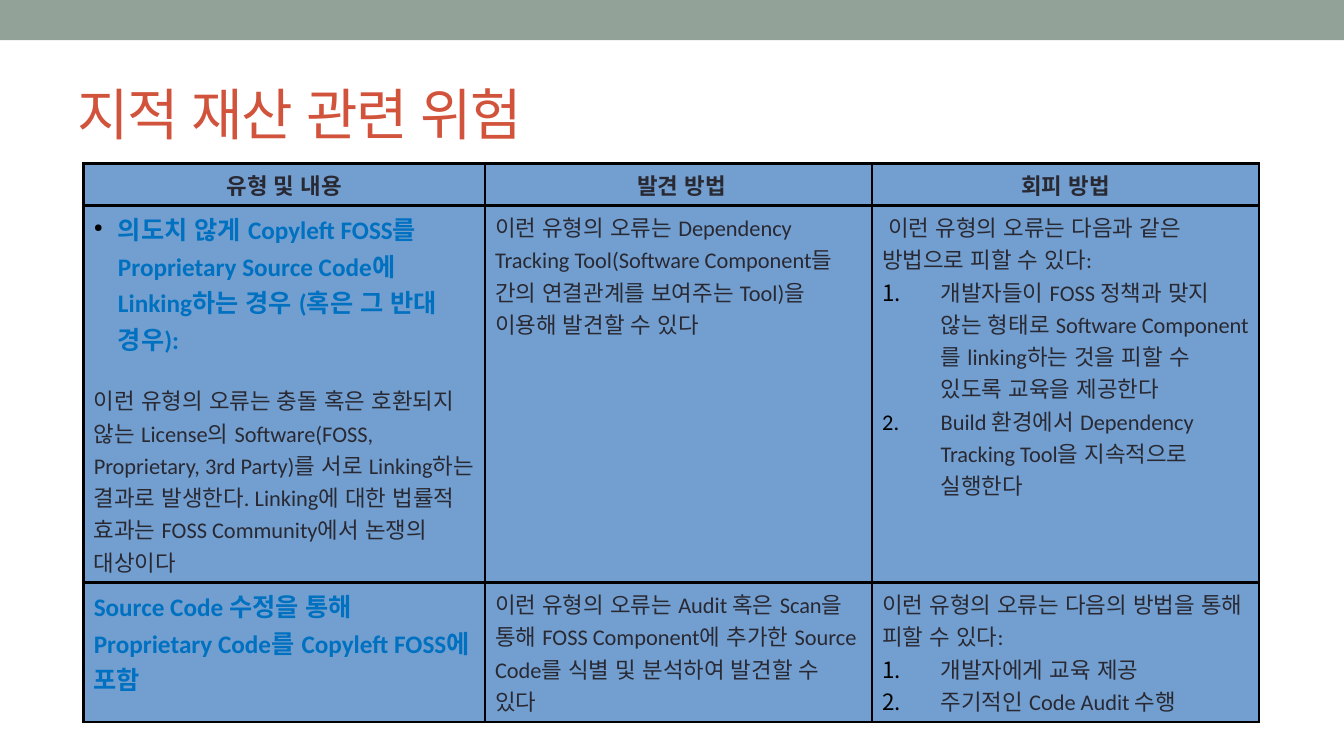
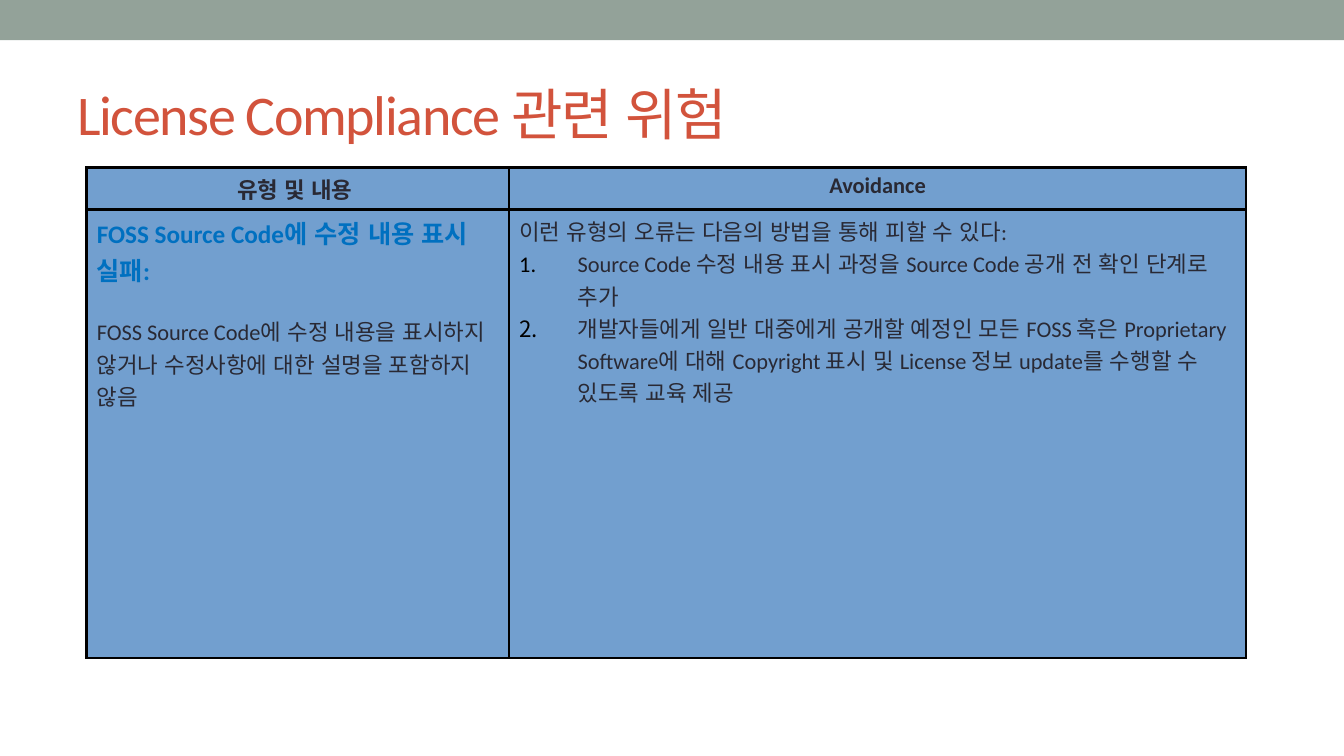
from lxml.etree import SubElement, fromstring
from pptx import Presentation
from pptx.dml.color import RGBColor
from pptx.enum.lang import MSO_LANGUAGE_ID as Lang
from pptx.enum.shapes import MSO_SHAPE as Shape
from pptx.enum.text import MSO_ANCHOR as Anchor, PP_ALIGN as Align
from pptx.oxml.ns import nsdecls, qn
from pptx.util import Inches, Pt

WIDTH, HEIGHT = Inches(13.33), Inches(7.5)
FONT, KOREAN_FONT = "Calibri", "Noto Sans CJK KR"
SAGE = RGBColor(0x93, 0xA2, 0x99)
RED = RGBColor(0xD2, 0x53, 0x3C)
INK = RGBColor(0x29, 0x29, 0x34)
BLUE = RGBColor(0x00, 0x70, 0xC0)
CELL = RGBColor(0x72, 0x9F, 0xCF)
BLACK = RGBColor(0, 0, 0)
BORDER = Pt(2)
GAP = Pt(19.5)

STYLES = {
    "head": (16, True, INK),
    "topic": (18, True, BLUE),
    "bullet": (18, True, BLUE),
    "body": (16, False, INK),
    "detail": (16, False, INK),
    "step": (16, False, INK),
}
MARKERS = {
    "bullet": (0.24, "buChar", {"char": "●"}, "45000"),
    "step": (0.58, "buAutoNum", {"type": "arabicPeriod"}, "100000"),
}

IP_RISKS = [
    [
        [("head", "유형 및 내용")],
        [("head", " 발견 방법")],
        [("head", "회피 방법")],
    ],
    [
        [
            ("bullet", "의도치 않게 Copyleft FOSS를 Proprietary Source Code에 "
                       "Linking하는 경우 (혹은 그 반대 경우):"),
            ("detail", "이런 유형의 오류는 충돌 혹은 호환되지 않는 License의 "
                       "Software(FOSS, Proprietary, 3rd Party)를 서로 Linking하는 "
                       "결과로 발생한다. Linking에 대한 법률적 효과는 "
                       "FOSS Community에서 논쟁의 대상이다"),
        ],
        [("body", "이런 유형의 오류는 Dependency Tracking Tool(Software Component들 "
                  "간의 연결관계를 보여주는 Tool)을 이용해 발견할 수 있다")],
        [
            ("body", " 이런 유형의 오류는 다음과 같은 방법으로 피할 수 있다:"),
            ("step", "개발자들이 FOSS 정책과 맞지 않는 형태로 Software Component를 "
                     "linking하는 것을 피할 수 있도록 교육을 제공한다"),
            ("step", "Build 환경에서 Dependency Tracking Tool을 지속적으로 실행한다"),
        ],
    ],
    [
        [("topic", "Source Code 수정을 통해 Proprietary Code를 "
                   "Copyleft FOSS에 포함")],
        [("body", "이런 유형의 오류는 Audit 혹은 Scan을 통해 FOSS Component에 추가한 "
                  "Source Code를 식별 및 분석하여 발견할 수 있다")],
        [
            ("body", "이런 유형의 오류는 다음의 방법을 통해 피할 수 있다:"),
            ("step", "개발자에게 교육 제공"),
            ("step", "주기적인 Code Audit 수행"),
        ],
    ],
]

LICENSE_RISKS = [
    [[("head", "유형 및 내용 ")], [("head", "Avoidance")]],
    [
        [
            ("topic", "FOSS Source Code에 수정 내용 표시 실패:"),
            ("detail", "FOSS Source Code에 수정 내용을 표시하지 않거나 "
                       "수정사항에 대한 설명을 포함하지 않음"),
        ],
        [
            ("body", "이런 유형의 오류는 다음의 방법을 통해 피할 수 있다:"),
            ("step", "Source Code 수정 내용 표시 과정을 Source Code 공개 전 "
                     "확인 단계로 추가"),
            ("step", "개발자들에게 일반 대중에게 공개할 예정인 모든 FOSS 혹은 "
                     "Proprietary Software에 대해 Copyright 표시 및 License 정보 "
                     "update를 수행할 수 있도록 교육 제공"),
        ],
    ],
]


def format_run(r, size, bold, color):
    """Apply the deck fonts to a run, for Latin and Korean text."""
    r.font.name, r.font.size, r.font.bold = FONT, Pt(size), bold
    r.font.color.rgb = color
    r.font.language_id = Lang.KOREAN
    r.font._element.find(qn("a:latin")).addnext(
        fromstring(f'<a:ea {nsdecls("a")} typeface="{KOREAN_FONT}"/>'))


def add_band(prs, s):
    """Draw the top band and move it to the slide master."""
    band = s.shapes.add_shape(Shape.RECTANGLE, 0, 0, WIDTH, Inches(0.4))
    band.shadow.inherit = False
    band.fill.solid()
    band.fill.fore_color.rgb = SAGE
    band.line.fill.background()
    prs.slide_master.element.cSld.spTree.insert(2, band.element)


def set_title(s, text):
    """Place and format the title placeholder."""
    sp = s.shapes.title
    sp.left, sp.top = int(WIDTH * 0.05), Inches(0.58)
    sp.width, sp.height = int(WIDTH * 0.9), Inches(1.08)
    tf = sp.text_frame
    tf.text = text
    tf.vertical_anchor = Anchor.MIDDLE
    p = tf.paragraphs[0]
    p.alignment = Align.LEFT
    format_run(p.runs[0], 40, False, RED)
    p.runs[0].font._element.set("spc", "-100")


def set_marker(p, indent, tag, attributes, size):
    """Give a paragraph a hanging black bullet or number."""
    pPr = p._p.get_or_add_pPr()
    pPr.set("marL", str(Inches(indent)))
    pPr.set("indent", str(-Inches(indent)))
    color = SubElement(pPr, qn("a:buClr"))
    SubElement(color, qn("a:srgbClr"), val=str(BLACK))
    SubElement(pPr, qn("a:buSzPct"), val=size)
    SubElement(pPr, qn(f"a:{tag}"), **attributes)


def set_borders(cell):
    """Draw a black line on all four sides of a cell."""
    tcPr = cell._tc.get_or_add_tcPr()
    for i, side in enumerate("LRTB"):
        tcPr.insert(i, fromstring(
            f'<a:ln{side} {nsdecls("a")} w="{BORDER}"><a:solidFill>'
            f'<a:srgbClr val="{BLACK}"/></a:solidFill></a:ln{side}>'))


def fill_cell(cell, items):
    """Write styled paragraphs into a cell and paint it."""
    cell.fill.solid()
    cell.fill.fore_color.rgb = CELL
    set_borders(cell)
    tf = cell.text_frame
    for i, (kind, text) in enumerate(items):
        p = tf.add_paragraph() if i else tf.paragraphs[0]
        p.text = text
        p.alignment = Align.CENTER if kind == "head" else Align.LEFT
        if kind == "detail":
            p.space_before = GAP
        if kind in MARKERS:
            set_marker(p, *MARKERS[kind])
        format_run(p.runs[0], *STYLES[kind])


def add_risk_table(s, left, top, widths, heights, rows):
    """Add a table with the given column widths and row heights in inches."""
    table = s.shapes.add_table(
        len(heights), len(widths), Inches(left), Inches(top),
        Inches(sum(widths)), Inches(sum(heights))).table
    table.first_row = table.horz_banding = False
    for column, width in zip(table.columns, widths):
        column.width = Inches(width)
    for row, height, contents in zip(table.rows, heights, rows):
        row.height = Inches(height)
        for cell, items in zip(row.cells, contents):
            fill_cell(cell, items)


def main():
    """Build the deck and save it."""
    prs = Presentation()
    prs.slide_width, prs.slide_height = WIDTH, HEIGHT
    slides = [
        ("지적 재산 관련 위험", 0.83, 1.62,
         (3.98, 3.84, 3.84), (0.42, 3.74, 1.38), IP_RISKS),
        ("License Compliance 관련 위험", 0.86, 1.66,
         (4.19, 7.31), (0.42, 4.45), LICENSE_RISKS),
    ]
    for title, *grid in slides:
        s = prs.slides.add_slide(prs.slide_layouts[5])
        set_title(s, title)
        add_risk_table(s, *grid)
    add_band(prs, prs.slides[0])
    prs.save("out.pptx")


if __name__ == "__main__":
    main()
